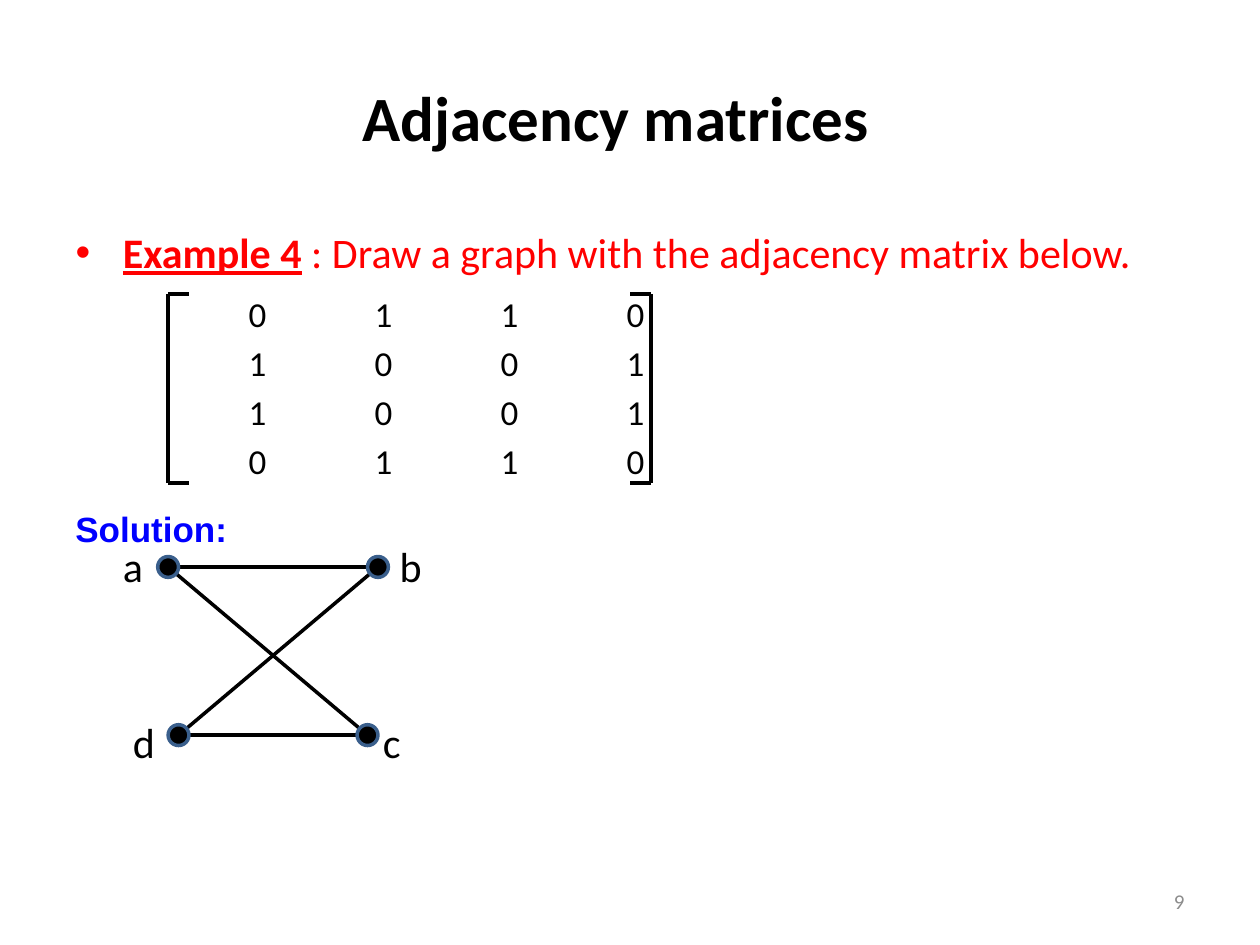
import pptx
import pptx.dml.color
import pptx.enum.shapes
import pptx.enum.text
import pptx.oxml.ns
import pptx.util
import lxml.etree
from dataclasses import dataclass

Cm = pptx.util.Cm
Pt = pptx.util.Pt
ALIGN = pptx.enum.text.PP_ALIGN
ANCHOR = pptx.enum.text.MSO_ANCHOR


@dataclass(frozen=True)
class Theme:
    font: str = "Calibri"
    accent_font: str = "Arial"
    black: str = "000000"
    red: str = "FF0000"
    blue: str = "0000FF"
    gray: str = "8C8C8C"
    node_line: str = "3A5F8C"
    title_size: int = 36
    text_size: int = 24
    matrix_size: int = 20
    number_size: int = 12
    line_width: int = 2


theme = Theme()
rgb = pptx.dml.color.RGBColor.from_string


def add_run(paragraph, text, size, color, bold=False, font=theme.font):
    run = paragraph.add_run()
    run.text = text
    run.font.name = font
    run.font.size = Pt(size)
    run.font.bold = bold
    run.font.color.rgb = rgb(color)
    return run


def add_line(start, end):
    line = slide.shapes.add_connector(
        pptx.enum.shapes.MSO_CONNECTOR.STRAIGHT,
        Cm(start[0]), Cm(start[1]), Cm(end[0]), Cm(end[1]))
    line.line.color.rgb = rgb(theme.black)
    line.line.width = Pt(theme.line_width)
    properties = line._element.spPr
    lxml.etree.SubElement(properties, pptx.oxml.ns.qn("a:effectLst"))


presentation = pptx.Presentation()
presentation.slide_width = Cm(25.4)
presentation.slide_height = Cm(19.05)
slide = presentation.slides.add_slide(presentation.slide_layouts[1])

# Title, set slightly left of centre
title = slide.shapes.title
title.left, title.top, title.width, title.height = Cm(1.27), Cm(0.76), Cm(22.86), Cm(3.18)
title.text_frame.margin_right = Cm(0.83)
title.text_frame.vertical_anchor = ANCHOR.MIDDLE
paragraph = title.text_frame.paragraphs[0]
paragraph.alignment = ALIGN.CENTER
add_run(paragraph, "Adjacency matrices", theme.title_size, theme.black, bold=True)

# Task
body = slide.placeholders[1]
body.left, body.top, body.width, body.height = Cm(1.27), Cm(4.44), Cm(22.86), Cm(12.57)
paragraph = body.text_frame.paragraphs[0]
heading = add_run(paragraph, "Example 4", theme.text_size, theme.red, bold=True)
heading.font.underline = True
add_run(paragraph, " : Draw a graph with the adjacency matrix below.",
        theme.text_size, theme.red)

# Matrix entries, one tabbed line per row
matrix = [[0, 1, 1, 0], [1, 0, 0, 1], [1, 0, 0, 1], [0, 1, 1, 0]]
for index, row in enumerate(matrix):
    paragraph = body.text_frame.add_paragraph()
    paragraph.space_before = Pt(9 if index == 0 else 4)
    properties = paragraph._p.get_or_add_pPr()
    properties.set("marL", str(Cm(0.95)))
    properties.set("indent", str(-Cm(0.95)))
    properties.set("defTabSz", str(Cm(2.54)))
    lxml.etree.SubElement(properties, pptx.oxml.ns.qn("a:buNone"))
    add_run(paragraph, "\t\t" + "\t".join(map(str, row)), theme.matrix_size, theme.black)

# Matrix brackets
bracket_top, bracket_bottom, tick = 5.93, 9.74, 0.42
for x, inward in ((3.39, tick), (13.12, -tick)):
    add_line((x, bracket_top), (x, bracket_bottom))
    for y in (bracket_top, bracket_bottom):
        add_line((x, y), (x + inward, y))

# Graph: node centres, and label centres
nodes = {"a": (3.39, 11.43), "b": (7.62, 11.43), "c": (7.41, 14.82), "d": (3.6, 14.82)}
labels = {"a": (2.68, 11.4), "b": (8.28, 11.4), "c": (7.9, 14.96), "d": (2.9, 14.96)}

for start, end in ("ab", "dc", "db", "ac"):
    add_line(nodes[start], nodes[end])

diameter = 0.42
for x, y in nodes.values():
    node = slide.shapes.add_shape(
        pptx.enum.shapes.MSO_SHAPE.FLOWCHART_CONNECTOR,
        Cm(x - diameter / 2), Cm(y - diameter / 2), Cm(diameter), Cm(diameter))
    node.shadow.inherit = False
    node.fill.solid()
    node.fill.fore_color.rgb = rgb(theme.black)
    node.line.color.rgb = rgb(theme.node_line)
    node.line.width = Pt(theme.line_width)

# Text boxes: text, left, top, width, height, alignment, size, colour, bold, font
text_boxes = [
    ("Solution:", 1.27, 10.09, 3.61, 1.12, ALIGN.LEFT,
     theme.matrix_size, theme.blue, True, theme.accent_font),
    ("9", 18.21, 17.65, 5.92, 1.02, ALIGN.RIGHT,
     theme.number_size, theme.gray, False, theme.font),
]
label_width, label_height = 1, 1.5
for name, (x, y) in labels.items():
    text_boxes.append((name, x - label_width / 2, y - label_height / 2,
                       label_width, label_height, ALIGN.CENTER,
                       theme.text_size, theme.black, False, theme.font))

for text, left, top, width, height, alignment, size, color, bold, font in text_boxes:
    text_box = slide.shapes.add_textbox(Cm(left), Cm(top), Cm(width), Cm(height))
    text_box.text_frame.word_wrap = True
    text_box.text_frame.vertical_anchor = ANCHOR.MIDDLE
    paragraph = text_box.text_frame.paragraphs[0]
    paragraph.alignment = alignment
    add_run(paragraph, text, size, color, bold, font)

presentation.save("out.pptx")
